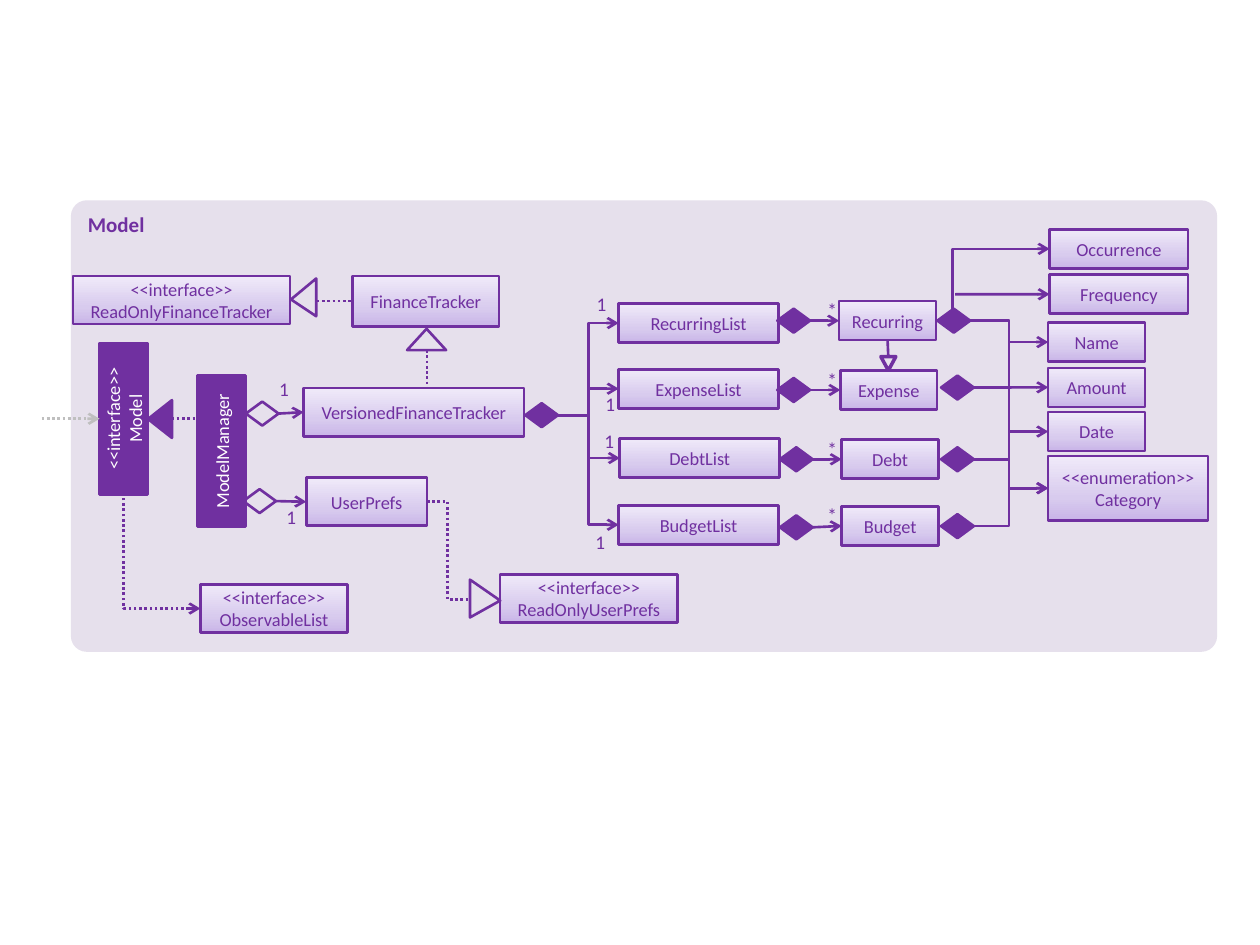
from copy import deepcopy

from lxml.etree import SubElement
from pptx import Presentation
from pptx.dml.color import RGBColor
from pptx.enum.dml import MSO_LINE
from pptx.enum.shapes import MSO_CONNECTOR, MSO_SHAPE
from pptx.enum.text import MSO_ANCHOR, PP_ALIGN
from pptx.oxml.ns import qn
from pptx.util import Pt

PURPLE = RGBColor(0x70, 0x30, 0xA0)
PANEL = RGBColor(0xE6, 0xE0, 0xEC)
GREY = RGBColor(0xBF, 0xBF, 0xBF)
WHITE = RGBColor(0xFF, 0xFF, 0xFF)
GRADIENT = [
    (0, RGBColor(0xC9, 0xB5, 0xE8)),
    (0.35, RGBColor(0xD8, 0xCB, 0xEE)),
    (1, RGBColor(0xF0, 0xEA, 0xF9)),
]
BOX_H, ROW_H, LIST_W, CLASS_W = 27.5, 22.3, 91.4, 55.4
DIAMOND = (18.7, 13.7)

prs = Presentation()
prs.slide_width, prs.slide_height = Pt(720), Pt(540)
s = prs.slides.add_slide(prs.slide_layouts[6])


def add_item(text, x, y, w, h, kind=MSO_SHAPE.RECTANGLE, fill="gradient", line=PURPLE,
             weight=1.5, rot=0, adj=None, size=10.5, color=PURPLE, bold=False,
             align=PP_ALIGN.CENTER, anchor=MSO_ANCHOR.MIDDLE):
    """Add a shape, or a text box without margins if kind is None."""
    frame = Pt(x), Pt(y), Pt(w), Pt(h)
    if kind is None:
        sp = s.shapes.add_textbox(*frame)
    else:
        sp = s.shapes.add_shape(kind, *frame)
        sp.shadow.inherit = False
        sp.rotation = rot
        if adj is not None:
            sp.adjustments[0] = adj
        if fill == "gradient":
            sp.fill.gradient()
            sp.fill.gradient_angle = 90
            stop_list = sp.element.spPr.find(".//" + qn("a:gsLst"))
            stop_list.append(deepcopy(stop_list[0]))
            for stop, (position, rgb) in zip(sp.fill.gradient_stops, GRADIENT):
                stop.position = position
                stop.color.rgb = rgb
        elif fill is None:
            sp.fill.background()
        else:
            sp.fill.solid()
            sp.fill.fore_color.rgb = fill
        if line is None:
            sp.line.fill.background()
        else:
            sp.line.color.rgb = line
            sp.line.width = Pt(weight)
    if text:
        tf = sp.text_frame
        tf.word_wrap = True
        tf.vertical_anchor = anchor
        if kind is None:
            tf.margin_left = tf.margin_right = tf.margin_top = tf.margin_bottom = 0
        tf.text = text
        for p in tf.paragraphs:
            p.alignment = align
            for r in p.runs:
                r.font.name = "Calibri"
                r.font.size = Pt(size)
                r.font.bold = bold
                r.font.color.rgb = color
    return sp


def connect(begin, end, kind=MSO_CONNECTOR.STRAIGHT, color=PURPLE, dotted=False, arrow="tailEnd"):
    """Join two (x, y) points; a shape means its right side (begin) or left side (end)."""
    x1, y1 = begin if isinstance(begin, tuple) else (0, 0)
    x2, y2 = end if isinstance(end, tuple) else (0, 0)
    c = s.shapes.add_connector(kind, Pt(x1), Pt(y1), Pt(x2), Pt(y2))
    if not isinstance(begin, tuple):
        c.begin_connect(begin, 3)
    if not isinstance(end, tuple):
        c.end_connect(end, 1)
    c.line.color.rgb = color
    c.line.width = Pt(1.5)
    if dotted:
        c.line.dash_style = MSO_LINE.ROUND_DOT
    if arrow:
        SubElement(c.line._get_or_add_ln(), qn("a:" + arrow)).set("type", "arrow")
    SubElement(c.element.spPr, qn("a:effectLst"))
    return c


add_item("Model", 40.5, 114.5, 655, 258, kind=MSO_SHAPE.ROUNDED_RECTANGLE, adj=0.035,
         fill=PANEL, line=None, size=12, bold=True, align=PP_ALIGN.LEFT, anchor=MSO_ANCHOR.TOP)

# Model, manager and trackers
add_item("ModelManager", 83.5, 244, 86.5, BOX_H, rot=270, fill=PURPLE, color=WHITE)
add_item("<<interface>>\nModel", 27.5, 225.5, 86.5, BOX_H, rot=270, fill=PURPLE, color=WHITE)
user_prefs = add_item("UserPrefs", 175, 273, 69, BOX_H)
add_item("<<interface>>\vReadOnlyFinanceTracker", 41.8, 157.7, 124, BOX_H)
add_item("<<interface>>\vObservableList", 114.5, 334, 84.2, BOX_H)
finance_tracker = add_item("FinanceTracker", 201.6, 157.7, 83.5, 28.8)
add_item("<<interface>>\nReadOnlyUserPrefs", 285.8, 328.3, 101.5, BOX_H)
versioned_tracker = add_item("VersionedFinanceTracker", 173.5, 221.8, 126, BOX_H)

# Inheritance triangles
for x, y, w, h, rot, adj, fill in [
    (80.6, 232.6, 21.6, 13.7, 270, 0.5, PURPLE),
    (232.6, 187.9, 22.3, 12.2, 0, 0.5, PANEL),
    (162.7, 162.7, 21.6, 14.4, 270, 0.445, PANEL),
    (266.4, 333.4, 21.6, 17.3, 90, 0.555, PANEL),
]:
    add_item("", x, y, w, h, kind=MSO_SHAPE.ISOSCELES_TRIANGLE, rot=rot, adj=adj, fill=fill)
add_item("", 503.3, 203.8, 8.6, 7.9, kind=MSO_SHAPE.ISOSCELES_TRIANGLE, rot=180, fill=None, weight=2)

# Aggregations of the manager
for x, y, target in [(139, 279.5, user_prefs), (140.5, 229.5, versioned_tracker)]:
    diamond = add_item("", x, y, *DIAMOND, kind=MSO_SHAPE.FLOWCHART_DECISION, fill=None)
    connect(diamond, target)
for x, y in [(154.8, 215.7), (159, 288.7)]:
    add_item("1", x, y, 15, 14.4, kind=None, size=11, anchor=MSO_ANCHOR.TOP)

# Dotted relations
connect((23.8, 239.3), (56.9, 239.3), color=GREY, dotted=True)
connect((98, 239.3), (115.2, 239.3), dotted=True, arrow=None)
connect((181, 172.1), finance_tracker, dotted=True, arrow=None)
connect((244, 200.1), (244, 221.8), dotted=True, arrow=None)
connect((244, 286.7), (267.8, 342.7), kind=MSO_CONNECTOR.ELBOW, dotted=True, arrow=None)
to_observable = connect((114.5, 347.8), (70.6, 282.2), kind=MSO_CONNECTOR.ELBOW, dotted=True,
                        arrow="headEnd")

# Attributes on the right
amount = add_item("Amount", 599, 210.2, CLASS_W, ROW_H)
add_item("Name", 599, 184.3, CLASS_W, ROW_H)
add_item("Date", 599, 235.4, CLASS_W, ROW_H)
add_item("<<enumeration>>Category", 599, 260.6, LIST_W, 36.7)
frequency = add_item("Frequency", 599.8, 157, 79.2, ROW_H)
add_item("Occurrence", 599.8, 131, 79.2, ROW_H)

# One row per list: list box, its class, both diamonds, the "1" label, attribute heights
add_item("", 300.2, 230.4, *DIAMOND, kind=MSO_SHAPE.FLOWCHART_DECISION, fill=PURPLE)
rows = [
    ("Recurring", (353.5, 173.5), (479.5, 172.1), (444.2, 176.4), (535.7, 176.4), (336.2, 167),
     [195.5, 279]),
    ("Expense", (353.5, 211), (480.2, 211.7), (444.2, 216), (537.8, 214.6), (341.3, 223.9), []),
    ("Debt", (354.2, 250.6), (481, 251.3), (445.7, 255.6), (537.8, 255.6), (340.6, 245.5), [246.6]),
    ("Budget", (353.5, 288.7), (481, 289.4), (445.7, 294.5), (537.8, 293.8), (335.5, 303.1), [279]),
]
for name, list_at, class_at, list_diamond_at, class_diamond_at, one_at, attribute_ys in rows:
    add_item(name + "List", *list_at, LIST_W, ROW_H)
    class_box = add_item(name, *class_at, CLASS_W, ROW_H)
    list_diamond, class_diamond = [
        add_item("", *at, *DIAMOND, kind=MSO_SHAPE.FLOWCHART_DECISION, fill=PURPLE)
        for at in (list_diamond_at, class_diamond_at)
    ]
    connect((318.9, 237.3), (list_at[0], list_at[1] + ROW_H / 2), kind=MSO_CONNECTOR.ELBOW)
    connect(list_diamond, class_box)
    for y in attribute_ys:
        connect((554, class_diamond_at[1] + DIAMOND[1] / 2), (599, y), kind=MSO_CONNECTOR.ELBOW)
    if name == "Expense":
        connect(class_diamond, amount)
    if name == "Recurring":
        to_expense = connect((507.2, 194.4), (507.6, 203.8), arrow=None)
        to_expense.begin_connect(class_box, 2)
    for label, at in [("1", one_at), ("*", (468, class_at[1] - 1.5))]:
        add_item(label, *at, 15, 14.4, kind=None, size=11, anchor=MSO_ANCHOR.TOP)

connect((545.8, 168.2), frequency)
to_occurrence = connect((599.8, 142.2), (544.3, 176.4), kind=MSO_CONNECTOR.ELBOW, arrow="headEnd")
for c in (to_observable, to_occurrence):
    c.element.spPr.find(qn("a:prstGeom")).set("prst", "bentConnector2")

prs.save("out.pptx")
